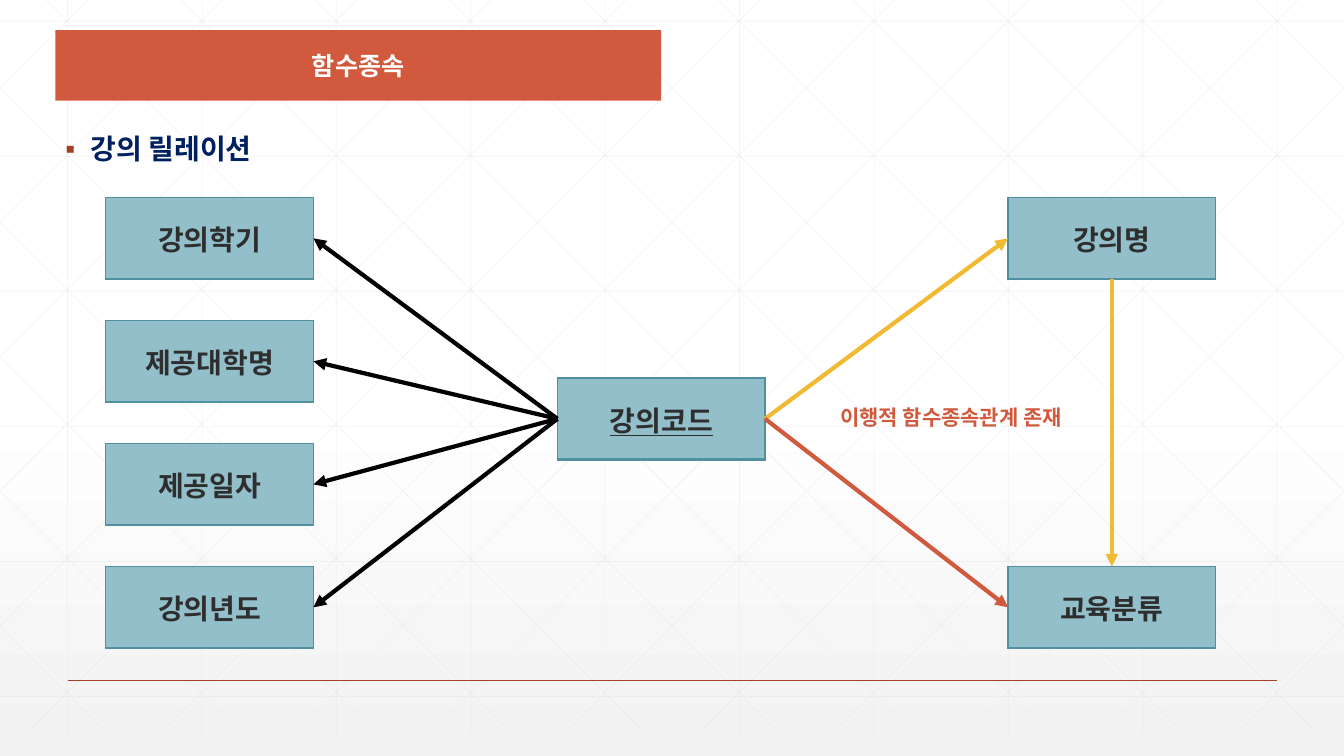
from lxml import etree
from pptx import Presentation
from pptx.dml.color import RGBColor
from pptx.enum.shapes import MSO_CONNECTOR, MSO_SHAPE
from pptx.enum.text import MSO_ANCHOR, PP_ALIGN
from pptx.oxml.ns import qn
from pptx.util import Inches, Pt

STRAIGHT = MSO_CONNECTOR.STRAIGHT
RECTANGLE = MSO_SHAPE.RECTANGLE
MIDDLE = MSO_ANCHOR.MIDDLE
CENTER = PP_ALIGN.CENTER

COLORS = {
    "white": "FFFFFF", "pale": "F2F2F2", "grid": "D9D9D9", "rule": "A43F27",
    "orange": "D15A3E", "yellow": "F0BA34", "black": "000000", "navy": "002060",
    "box": "92BFCA", "box_border": "4F91A1", "box_text": "2D2E2D",
}
KOREAN_FONT = "Noto Sans CJK KR"
BOX_FONT = "Arial"

WIDTH, HEIGHT = 13.333, 7.5
GRID_TOP, GRID_BOTTOM = -0.21, 7.29
GRID_STEP = 4 / 3
BOX_WIDTH, BOX_HEIGHT = 2.06, 0.81
LEFT_X, CODE_X, RIGHT_X = 1.05, 5.53, 10
FIRST_Y, ROW_STEP, CODE_Y = 1.96, 1.22, 3.75
LEFT_ATTRIBUTES = ["강의학기", "제공대학명", "제공일자", "강의년도"]


def rgb(name):
    return RGBColor.from_string(COLORS[name])


def add_child(parent, tag, **attributes):
    return etree.SubElement(parent, qn(tag), attributes)


def add_line(slide, start, end, color, points, opacity=None, arrow=False):
    ends = [Inches(value) for value in (*start, *end)]
    line = slide.shapes.add_connector(STRAIGHT, *ends)
    line.line.color.rgb = rgb(color)
    line.line.width = Pt(points)
    properties = line._element.spPr
    outline = properties.find(qn("a:ln"))
    if opacity is not None:
        color_element = outline.find(".//" + qn("a:srgbClr"))
        add_child(color_element, "a:alpha", val=str(opacity * 1000))
    if arrow:
        add_child(outline, "a:tailEnd", type="triangle")
    add_child(properties, "a:effectLst")


def style_paragraph(paragraph, text, size, color, font_name=KOREAN_FONT):
    paragraph.text = text
    font = paragraph.font
    font.size = Pt(size)
    font.bold = True
    font.color.rgb = rgb(color)
    font.name = font_name
    font_element = paragraph._p.pPr.find(qn("a:defRPr"))
    add_child(font_element, "a:ea", typeface=KOREAN_FONT)


def add_text(slide, left, top, width, height):
    """Add an empty wrapping text box and return its paragraph."""
    box = slide.shapes.add_textbox(
        Inches(left), Inches(top), Inches(width), Inches(height))
    box.text_frame.word_wrap = True
    paragraph = box.text_frame.paragraphs[0]
    paragraph.line_spacing = 0.9
    return paragraph


def add_title(slide, text):
    bar = slide.shapes.add_shape(
        RECTANGLE, Inches(0.55), Inches(0.3), Inches(6.01), Inches(0.7))
    bar.shadow.inherit = False
    bar.fill.solid()
    bar.fill.fore_color.rgb = rgb("orange")
    bar.line.fill.background()
    bar.text_frame.vertical_anchor = MIDDLE
    paragraph = bar.text_frame.paragraphs[0]
    paragraph.alignment = CENTER
    style_paragraph(paragraph, text, 18, "white")


def add_bullet(slide, text):
    paragraph = add_text(slide, 0.55, 1.29, 12.09, 0.41)
    properties = paragraph._p.get_or_add_pPr()
    properties.set("marL", str(Inches(0.25)))
    properties.set("indent", str(-Inches(0.25)))
    bullet_color = add_child(properties, "a:buClr")
    add_child(bullet_color, "a:srgbClr", val=COLORS["rule"])
    add_child(properties, "a:buFont", typeface=BOX_FONT)
    add_child(properties, "a:buChar", char="▪")
    style_paragraph(paragraph, text, 20, "navy")


def add_attribute(slide, left, top, text, underline=False):
    """Add a one-cell table that holds an attribute of the relation."""
    table = slide.shapes.add_table(
        1, 1, Inches(left), Inches(top),
        Inches(BOX_WIDTH), Inches(BOX_HEIGHT)).table
    table.first_row = False
    table.horz_banding = False
    cell = table.cell(0, 0)
    cell.vertical_anchor = MIDDLE
    for side, points in (("L", 1), ("R", 1), ("T", 1), ("B", 2)):
        border = add_child(cell._tc.get_or_add_tcPr(), "a:ln" + side,
                           w=str(Pt(points)))
        fill = add_child(border, "a:solidFill")
        add_child(fill, "a:srgbClr", val=COLORS["box_border"])
    cell.fill.solid()
    cell.fill.fore_color.rgb = rgb("box")
    paragraph = cell.text_frame.paragraphs[0]
    paragraph.alignment = CENTER
    style_paragraph(paragraph, text, 20, "box_text", BOX_FONT)
    if underline:
        paragraph.font.underline = True


def set_background(slide):
    fill = slide.background.fill
    fill.gradient()
    fill.gradient_angle = 270
    stops = zip(fill.gradient_stops, ("white", "pale"), (0.53, 1))
    for stop, color, position in stops:
        stop.color.rgb = rgb(color)
        stop.position = position


def add_grid(slide):
    lines = []
    for column in range(10):
        x = 0.67 + column * GRID_STEP
        lines.append(((x, GRID_TOP), (x, GRID_BOTTOM)))
    for row in range(6):
        y = 0.21 + row * 1.34
        lines.append(((0, y), (WIDTH, y)))
    # Diagonals are cut at the slide's sides, then mirrored.
    for index in range(-5, 10):
        top_x = 0.25 + index * GRID_STEP
        start_x = max(top_x, 0)
        end_x = min(top_x + GRID_BOTTOM - GRID_TOP - 0.05, WIDTH)
        start_y = GRID_TOP + start_x - top_x
        end_y = min(GRID_TOP + end_x - top_x, GRID_BOTTOM)
        lines.append(((start_x, start_y), (end_x, end_y)))
        lines.append(((WIDTH - start_x, start_y), (WIDTH - end_x, end_y)))
    for start, end in lines:
        add_line(slide, start, end, "grid", 0.5, opacity=25)


def add_dependencies(slide):
    half = BOX_HEIGHT / 2
    last_y = FIRST_Y + 3 * ROW_STEP
    code_left = (CODE_X, CODE_Y + half)
    code_right = (CODE_X + BOX_WIDTH, CODE_Y + half)
    add_attribute(slide, CODE_X, CODE_Y, "강의코드", underline=True)

    for row, name in enumerate(LEFT_ATTRIBUTES):
        y = FIRST_Y + row * ROW_STEP
        add_attribute(slide, LEFT_X, y, name)
        add_line(slide, code_left, (LEFT_X + BOX_WIDTH, y + half),
                 "black", 3, arrow=True)

    for name, y, color in (("강의명", FIRST_Y, "yellow"),
                           ("교육분류", last_y, "orange")):
        add_attribute(slide, RIGHT_X, y, name)
        add_line(slide, code_right, (RIGHT_X, y + half), color, 3, arrow=True)

    middle_x = RIGHT_X + BOX_WIDTH / 2
    add_line(slide, (middle_x, FIRST_Y + BOX_HEIGHT), (middle_x, last_y),
             "yellow", 3, arrow=True)
    paragraph = add_text(slide, 7.59, 3.99, 3.69, 0.41)
    paragraph.alignment = CENTER
    style_paragraph(paragraph, "이행적 함수종속관계 존재", 15, "orange")


def main():
    presentation = Presentation()
    presentation.slide_width = Inches(WIDTH)
    presentation.slide_height = Inches(HEIGHT)
    slide = presentation.slides.add_slide(presentation.slide_layouts[6])
    set_background(slide)
    add_grid(slide)
    add_line(slide, (0.67, 6.75), (12.67, 6.75), "rule", 1)
    add_title(slide, "함수종속")
    add_bullet(slide, "강의 릴레이션")
    add_dependencies(slide)
    presentation.save("out.pptx")


if __name__ == "__main__":
    main()
